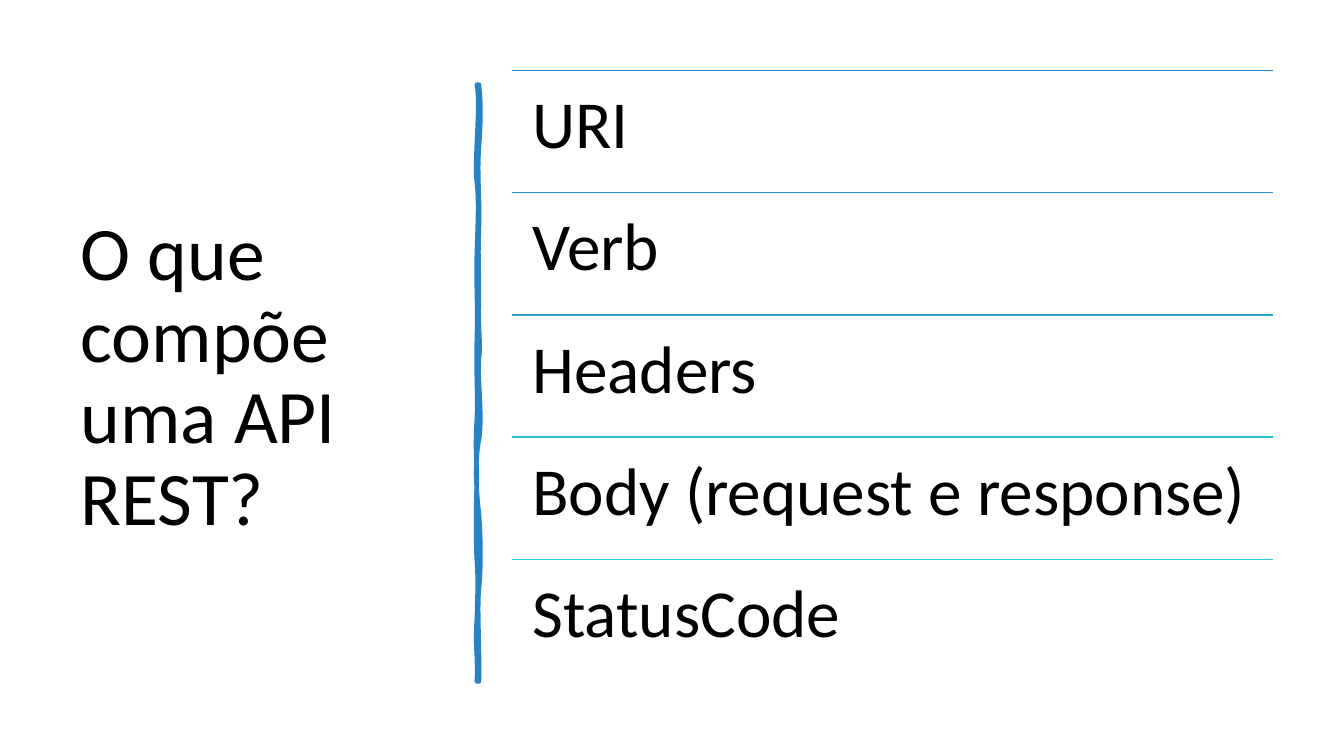
import pptx
import pptx.dml.color
import pptx.enum.shapes
import pptx.enum.text
import pptx.oxml
import pptx.oxml.ns
import pptx.util
from pptx.util import Inches

FONT = "Calibri"
BLACK = "000000"
BLUE = "2683C6"
TOPICS = [
    ("URI", BLUE),
    ("Verb", "2695CA"),
    ("Headers", "27A7CE"),
    ("Body (request e response)", "27BAD3"),
    ("StatusCode", "27CED7"),
]

# Brush stroke: start point, then two control points and an end point per curve
STROKE_START = (4.75, 0.84)
STROKE_CURVES = [
    # Right edge, downwards
    ((4.77, 1.02), (4.77, 1.19), (4.75, 1.46)),
    ((4.73, 1.73), (4.76, 1.95), (4.75, 2.26)),
    ((4.74, 2.57), (4.75, 2.62), (4.75, 2.94)),
    ((4.74, 3.25), (4.77, 3.42), (4.75, 3.56)),
    ((4.73, 3.7), (4.79, 4.14), (4.75, 4.36)),
    ((4.71, 4.57), (4.72, 4.84), (4.75, 5.1)),
    ((4.77, 5.36), (4.77, 5.64), (4.75, 5.84)),
    ((4.73, 6.03), (4.76, 6.5), (4.75, 6.76)),
    ((4.74, 6.76), (4.73, 6.76), (4.73, 6.76)),
    # Left edge, upwards
    ((4.74, 6.46), (4.71, 6.44), (4.73, 6.13)),
    ((4.74, 5.83), (4.74, 5.7), (4.73, 5.57)),
    ((4.72, 5.44), (4.72, 4.95), (4.73, 4.77)),
    ((4.73, 4.59), (4.71, 4.45), (4.73, 4.15)),
    ((4.74, 3.86), (4.72, 3.73), (4.73, 3.35)),
    ((4.74, 2.98), (4.72, 2.81), (4.73, 2.5)),
    ((4.74, 2.18), (4.75, 2), (4.73, 1.81)),
    ((4.7, 1.63), (4.77, 1.04), (4.73, 0.84)),
    ((4.74, 0.84), (4.74, 0.84), (4.75, 0.84)),
]


def color(hex_code):
    return pptx.dml.color.RGBColor.from_string(hex_code)


def drawing_element(tag):
    return pptx.oxml.parse_xml(
        f'<a:{tag} xmlns:a="http://schemas.openxmlformats.org/drawingml/2006/main"/>')


def write_text(frame, text, size, anchor, inset=None):
    frame.word_wrap = True
    frame.auto_size = pptx.enum.text.MSO_AUTO_SIZE.NONE
    frame.vertical_anchor = anchor
    if inset is not None:
        frame.margin_left = frame.margin_right = Inches(inset)
        frame.margin_top = frame.margin_bottom = Inches(inset)
    paragraph = frame.paragraphs[0]
    paragraph.alignment = pptx.enum.text.PP_ALIGN.LEFT
    paragraph.line_spacing = 0.9
    run = paragraph.add_run()
    run.text = text
    run.font.name = FONT
    run.font.size = pptx.util.Pt(size)
    run.font.color.rgb = color(BLACK)


def add_question(slide, left, top, width, height):
    question = slide.shapes.title
    question.left, question.top = Inches(left), Inches(top)
    question.width, question.height = Inches(width), Inches(height)
    write_text(question.text_frame, "O que compõe uma API REST?", size=54,
               anchor=pptx.enum.text.MSO_ANCHOR.MIDDLE)


def bend_segments(outline):
    """Turn every three straight segments into one Bezier curve."""
    segments = list(outline._element.iter(pptx.oxml.ns.qn("a:lnTo")))
    for first in range(0, len(segments), 3):
        curve = drawing_element("cubicBezTo")
        segments[first].addprevious(curve)
        for segment in segments[first:first + 3]:
            curve.append(segment[0])
            segment.getparent().remove(segment)


def add_brush_stroke(slide, left, top):
    """Place the stroke with its starting point at left, top."""
    dx, dy = left - STROKE_START[0], top - STROKE_START[1]
    builder = slide.shapes.build_freeform(Inches(left), Inches(top))
    builder.add_line_segments([(Inches(x + dx), Inches(y + dy))
                               for curve in STROKE_CURVES for x, y in curve], close=True)
    stroke = builder.convert_to_shape()
    bend_segments(stroke)
    stroke.shadow.inherit = False
    stroke.fill.solid()
    stroke.fill.fore_color.rgb = color(BLUE)
    stroke.line.color.rgb = color(BLUE)
    stroke.line.width = pptx.util.Pt(3.25)
    # Round joins keep the brush look
    stroke.line._get_or_add_ln().append(drawing_element("round"))


def add_topics(slide, left, top, width, height):
    topic_list = slide.shapes.add_group_shape()
    row_height = height / len(TOPICS)
    for row, (topic, rule_color) in enumerate(TOPICS):
        row_top = Inches(top + row * row_height)
        # Rule above the topic
        rule = topic_list.shapes.add_connector(pptx.enum.shapes.MSO_CONNECTOR.STRAIGHT,
                                               Inches(left), row_top,
                                               Inches(left + width), row_top)
        rule.line.color.rgb = color(rule_color)
        rule.line.width = pptx.util.Pt(1)
        rule._element.spPr.append(drawing_element("effectLst"))
        # Topic text
        label = topic_list.shapes.add_textbox(Inches(left), row_top,
                                              Inches(width), Inches(row_height))
        write_text(label.text_frame, topic, size=48, inset=0.2,
                   anchor=pptx.enum.text.MSO_ANCHOR.TOP)


def main():
    deck = pptx.Presentation()
    deck.slide_width, deck.slide_height = Inches(13.33), Inches(7.5)
    slide = deck.slides.add_slide(deck.slide_layouts.get_by_name("Title Only"))
    add_question(slide, 0.7, 0.7, 3.74, 6.11)
    add_brush_stroke(slide, *STROKE_START)
    add_topics(slide, 5.08, 0.7, 7.55, 6.06)
    deck.save("out.pptx")


if __name__ == "__main__":
    main()
